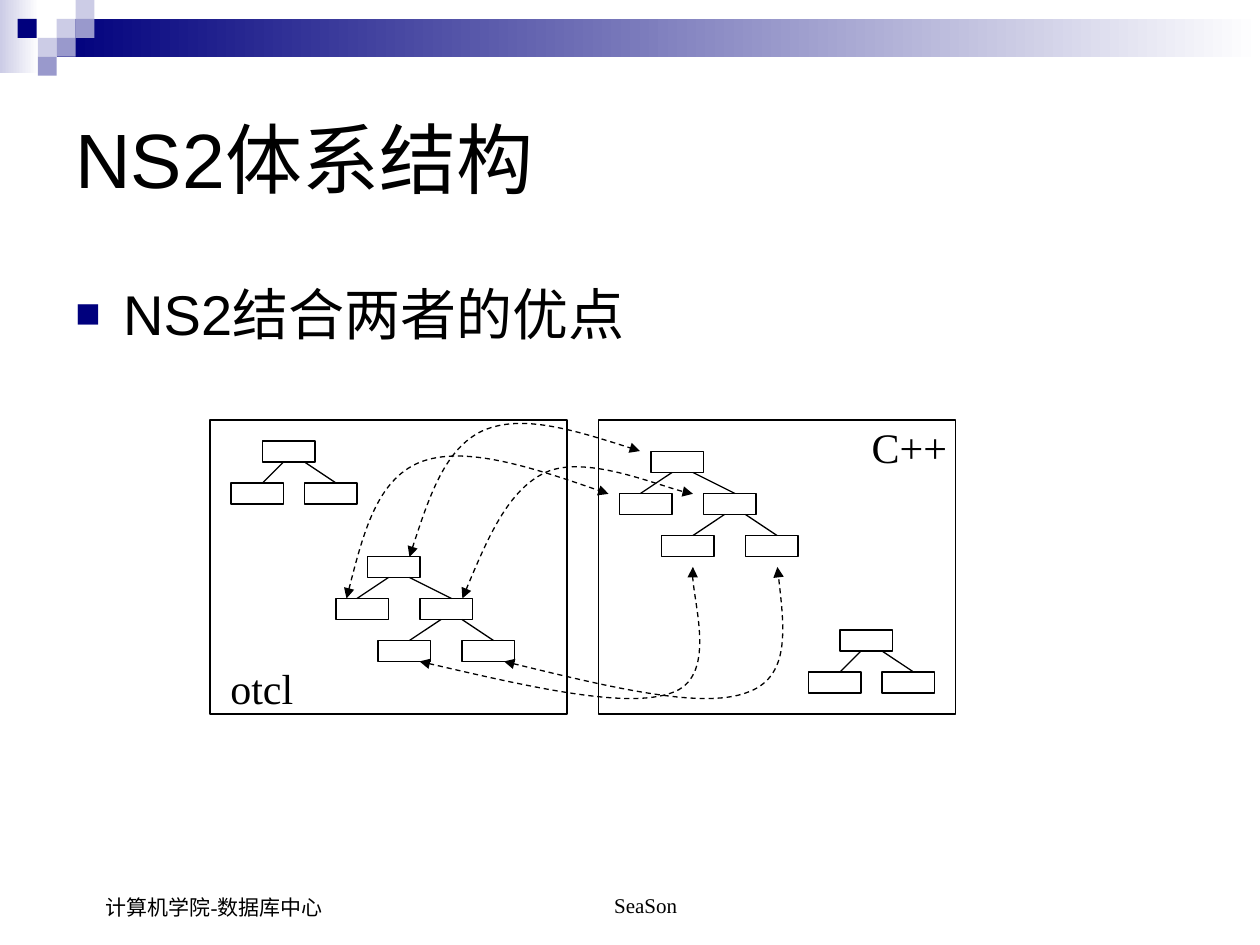
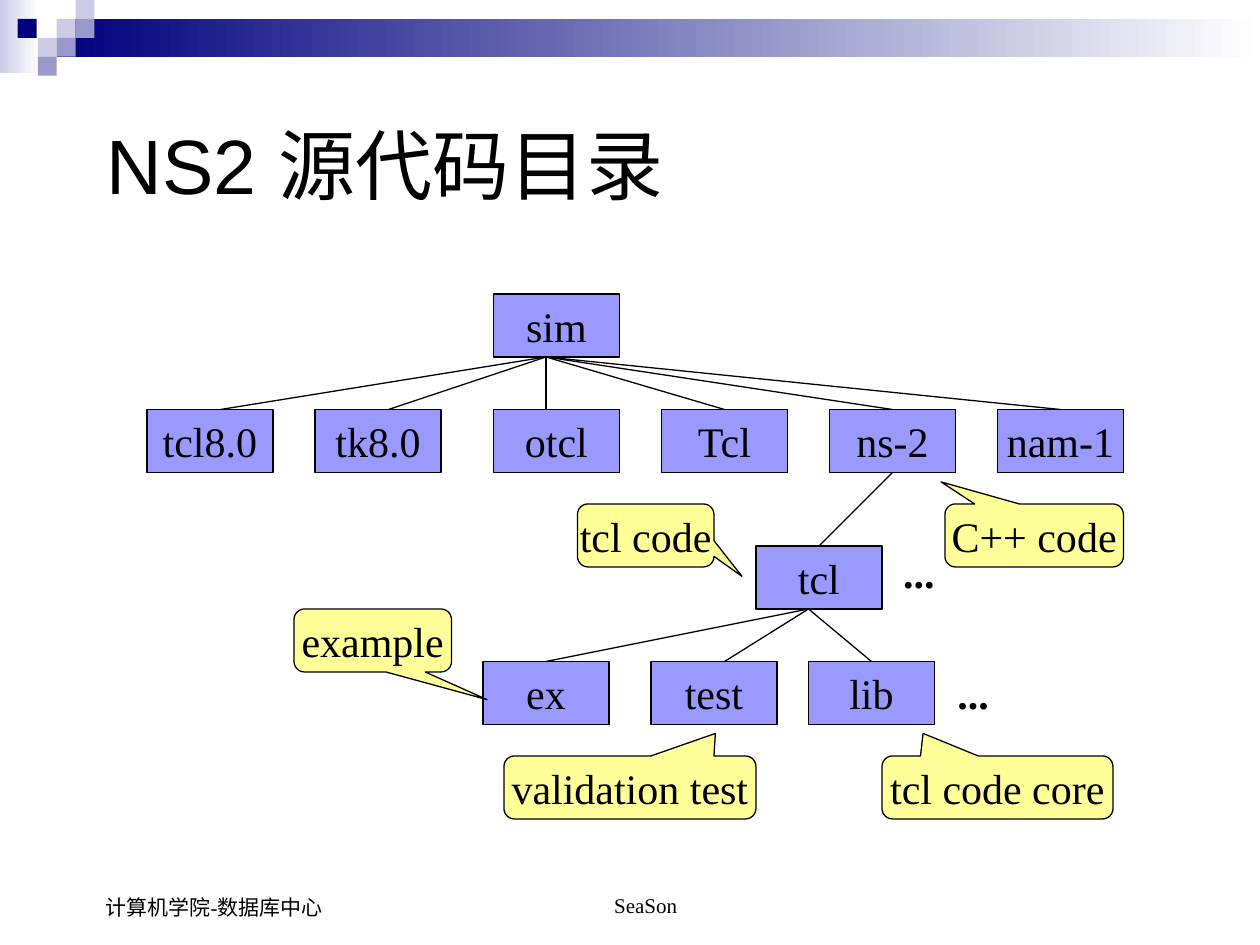
from lxml import etree
from pptx import Presentation
from pptx.dml.color import RGBColor
from pptx.enum.dml import MSO_LINE_DASH_STYLE as DASH
from pptx.enum.shapes import MSO_CONNECTOR, MSO_SHAPE as SHAPE
from pptx.enum.text import MSO_ANCHOR as ANCHOR, PP_ALIGN as ALIGN
from pptx.oxml.ns import qn
from pptx.util import Inches, Pt

# Shared style
C = {"ink": "000000", "navy": "00007D", "pale": "CCCCE6", "mid": "9999CC",
     "white": "FFFFFF", "node": "9999FF", "note": "FFFF99"}
SANS, SERIF = "Arial", "Times New Roman"
BANDS = [((0, 0, 0.31, 0.58), "pale"), ((0.45, 0.15, 9.55, 0.3), "navy")]
SQUARES = [(0.45, 0.15, "pale"), (0.6, 0, "pale"), (0.6, 0.15, "mid"),
           (0.3, 0.3, "pale"), (0.14, 0.15, "navy"), (0.45, 0.3, "mid"),
           (0.3, 0.45, "mid")]
FOOTERS = [("SeaSon", (3.42, 6.83, 3.17, 0.5), ALIGN.CENTER),
           ("计算机学院-数据库中心", (0.5, 6.83, 2.33, 0.52), ALIGN.LEFT)]

# Both diagrams sit on a grid of twelve units to the inch
UNIT = 1 / 12

# Slide 1: class trees; a branch is (child offset, line end offset)
ARCH_TITLE = "NS2体系结构"
ARCH_POINT = "NS2结合两者的优点"
FRAMES = [(20, 40, 34, 28), (57, 40, 34, 28)]
FRAME_LABELS = [("C++", (6.82, 3.3, 0.8, 0.5)), ("otcl", (1.73, 5.21, 0.7, 0.5))]
SMALL = [(-3, 0), (4, 7)]
UPPER = [(-3, -1), (5, 8)]
LOWER = [(-4, -1), (4, 7)]
FORKS = [(25, 42, SMALL), (35, 53, UPPER), (40, 57, LOWER),
         (80, 60, SMALL), (62, 43, UPPER), (67, 47, LOWER)]
BOX_W, BOX_H, FORK_DROP = 5, 2, 4
# Start point, then three points for each Bezier segment, in inches
LINKS = [
    [(3.67, 4.75), (3.85, 4.32), (4.03, 3.89), (4.33, 3.75),
     (4.64, 3.61), (5.31, 3.89), (5.5, 3.92)],
    [(3.33, 5.25), (4.15, 5.44), (4.97, 5.63), (5.33, 5.5),
     (5.69, 5.38), (5.47, 4.67), (5.5, 4.5)],
    [(4, 5.25), (4.78, 5.44), (5.56, 5.63), (5.92, 5.5),
     (6.28, 5.38), (6.22, 4.94), (6.17, 4.5)],
    [(2.75, 4.75), (2.87, 4.28), (2.99, 3.81), (3.33, 3.67),
     (3.68, 3.53), (4.26, 3.72), (4.83, 3.92)],
    [(3.25, 4.42), (3.39, 3.99), (3.53, 3.56), (3.83, 3.42),
     (4.14, 3.28), (4.61, 3.43), (5.08, 3.58)],
]

# Slide 2: directory tree
DIR_TITLE = "NS2 源代码目录"
NODE_W, NODE_H = 12, 6
NODES = [("sim", 47, 28), ("tcl8.0", 14, 39), ("tk8.0", 30, 39), ("otcl", 47, 39),
         ("Tcl", 63, 39), ("ns-2", 79, 39), ("nam-1", 95, 39), ("tcl", 72, 52),
         ("ex", 46, 63), ("test", 62, 63), ("lib", 77, 63)]
# Start x and y, end y, end x values
FANS = [(52, 34, 39, [21, 37, 52, 69, 85, 101]), (85, 45, 52, [78]),
        (77, 58, 63, [52, 69, 83])]
DOTS = [(7.07, 4.29, 0.45, 0.5), (7.5, 5.25, 0.45, 0.5)]
NOTES = [("tcl code", (55, 48, 13, 6), (0.705, 0.649)),
         ("example", (28, 58, 15, 6), (0.725, 0.938)),
         ("validation test", (48, 72, 24, 6), (0.339, -0.858)),
         ("C++ code", (90, 48, 17, 6), (-0.522, -0.851)),
         ("tcl code core", (84, 72, 22, 6), (-0.322, -0.858))]


def rgb(name):
    return RGBColor.from_string(C[name])


def grid(*units):
    return [n * UNIT for n in units]


def outline(sp):
    sp.line.color.rgb = rgb("ink")
    sp.line.width = Pt(0.75)


def write(sp, text, size, font, align=ALIGN.LEFT, anchor=ANCHOR.TOP, wrap=True, bold=False):
    tf = sp.text_frame
    tf.text = text
    tf.word_wrap = wrap
    tf.vertical_anchor = anchor
    p = tf.paragraphs[0]
    p.alignment = align
    f = p.runs[0].font
    f.size, f.name, f.bold = Pt(size), font, bold
    f.color.rgb = rgb("ink")
    return p


def add_text(s, box, text, size, font, **style):
    return write(s.shapes.add_textbox(*map(Inches, box)), text, size, font, **style)


def add_box(s, box, fill=None, lined=True, kind=SHAPE.RECTANGLE):
    sp = s.shapes.add_shape(kind, *map(Inches, box))
    sp.shadow.inherit = False
    if fill:
        sp.fill.solid()
        sp.fill.fore_color.rgb = rgb(fill)
    else:
        sp.fill.background()
    if lined:
        outline(sp)
    else:
        sp.line.fill.background()
    return sp


def add_line(s, x1, y1, x2, y2):
    ends = map(Inches, grid(x1, y1, x2, y2))
    line = s.shapes.add_connector(MSO_CONNECTOR.STRAIGHT, *ends)
    outline(line)
    etree.SubElement(line._element.spPr, qn("a:effectLst"))


def add_curve(s, points):
    (x, y), *rest = [(Inches(a), Inches(b)) for a, b in points]
    builder = s.shapes.build_freeform(x, y)
    builder.add_line_segments(rest, close=False)
    sp = builder.convert_to_shape()
    sp.shadow.inherit = False
    sp.fill.background()
    outline(sp)
    sp.line.dash_style = DASH.DASH
    # Every three straight segments become one Bezier segment
    steps = list(sp._element.iter(qn("a:lnTo")))
    for i in range(0, len(steps), 3):
        bezier = etree.Element(qn("a:cubicBezTo"))
        steps[i].addprevious(bezier)
        for step in steps[i:i + 3]:
            bezier.append(step[0])
            step.getparent().remove(step)
    ln = sp.line._get_or_add_ln()
    for end in ("a:headEnd", "a:tailEnd"):
        etree.SubElement(ln, qn(end), type="triangle")


def indent(p, left, first=0):
    pPr = p._p.get_or_add_pPr()
    pPr.set("marL", str(Inches(left)))
    pPr.set("indent", str(Inches(first)))
    return pPr


def add_bullet(p):
    p.space_before = Pt(8)
    pPr = indent(p, 0.38, -0.38)
    colour = etree.SubElement(pPr, qn("a:buClr"))
    etree.SubElement(colour, qn("a:srgbClr"), val=C["navy"])
    etree.SubElement(pPr, qn("a:buSzPct"), val="75000")
    etree.SubElement(pPr, qn("a:buFont"), typeface=SANS)
    etree.SubElement(pPr, qn("a:buChar"), char="■")


def new_slide(prs, title, title_box):
    s = prs.slides.add_slide(prs.slide_layouts[6])
    for box, colour in BANDS:
        fill = add_box(s, box, lined=False).fill
        fill.gradient()
        fill.gradient_angle = 0
        for stop, name in zip(fill.gradient_stops, (colour, "white")):
            stop.color.rgb = rgb(name)
    for x, y, colour in SQUARES:
        add_box(s, (x, y, 0.15, 0.15), colour, lined=False)
    add_text(s, title_box, title, 44, SANS, anchor=ANCHOR.MIDDLE)
    for text, box, align in FOOTERS:
        indent(add_text(s, box, text, 12, SERIF, align=align, anchor=ANCHOR.BOTTOM), 0.24)
    return s


def architecture_slide(prs):
    s = new_slide(prs, ARCH_TITLE, (0.5, 0.5, 9, 1.5))
    add_bullet(add_text(s, (0.5, 2.17, 9, 4.25), ARCH_POINT, 32, SANS))
    for frame in FRAMES:
        add_box(s, grid(*frame))
    # Class boxes, each drawn once even where two forks share it
    roots = {(x, y) for x, y, _ in FORKS}
    leaves = {(x + dx, y + FORK_DROP) for x, y, kids in FORKS for dx, _ in kids}
    for x, y in sorted(roots | leaves):
        add_box(s, grid(x, y, BOX_W, BOX_H))
    for x, y, kids in FORKS:
        for start, (_, end) in zip((2, 4), kids):
            add_line(s, x + start, y + BOX_H, x + end, y + FORK_DROP)
    for text, box in FRAME_LABELS:
        add_text(s, box, text, 24, SERIF, wrap=False)
    for points in LINKS:
        add_curve(s, points)


def directory_slide(prs):
    s = new_slide(prs, DIR_TITLE, (0.75, 0.67, 8.5, 1.25))
    label = dict(align=ALIGN.CENTER, anchor=ANCHOR.MIDDLE, wrap=False)
    for text, x, y in NODES:
        write(add_box(s, grid(x, y, NODE_W, NODE_H), "node"), text, 24, SERIF, **label)
    for x, y, end_y, ends in FANS:
        for end_x in ends:
            add_line(s, x, y, end_x, end_y)
    for box in DOTS:
        add_text(s, box, "...", 24, SERIF, wrap=False, bold=True)
    # Callouts
    for text, box, tip in NOTES:
        sp = add_box(s, grid(*box), "note", kind=SHAPE.ROUNDED_RECTANGULAR_CALLOUT)
        sp.adjustments[0], sp.adjustments[1] = tip
        write(sp, text, 24, SERIF, **label)


def main():
    prs = Presentation()
    prs.slide_width, prs.slide_height = Inches(10), Inches(7.5)
    architecture_slide(prs)
    directory_slide(prs)
    prs.save("out.pptx")


if __name__ == "__main__":
    main()
